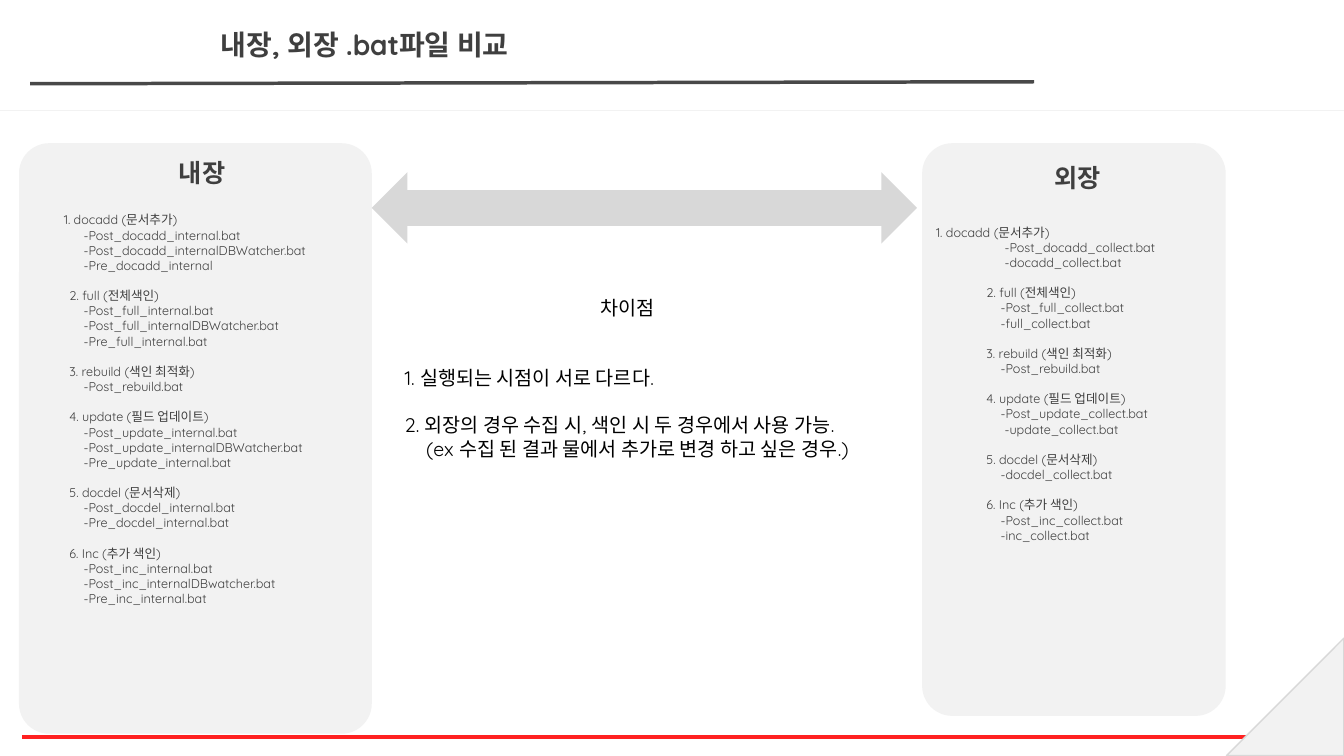
from dataclasses import dataclass

from lxml import etree
from pptx import Presentation
from pptx.dml.color import RGBColor
from pptx.enum.shapes import MSO_CONNECTOR, MSO_SHAPE
from pptx.enum.text import MSO_ANCHOR, MSO_AUTO_SIZE, PP_ALIGN
from pptx.oxml.ns import qn
from pptx.util import Cm, Pt

STRAIGHT = MSO_CONNECTOR.STRAIGHT
ROUNDED = MSO_SHAPE.ROUNDED_RECTANGLE
DOUBLE_ARROW = MSO_SHAPE.LEFT_RIGHT_ARROW
RIGHT_TRIANGLE = MSO_SHAPE.RIGHT_TRIANGLE
TOP = MSO_ANCHOR.TOP
NO_FIT = MSO_AUTO_SIZE.NONE
LEFT, CENTER = PP_ALIGN.LEFT, PP_ALIGN.CENTER

FONT = "Quicksand"
DARK, BLACK, PALE, GREY = "3F3F3F", "000000", "F2F2F2", "D8D8D8"
GROUP_INDENT, FILE_INDENT, DEEP_INDENT = 1.27, 1.63, 1.73
GROUP_GAP = 10.8
CORNER_RADIUS = 0.76


@dataclass(frozen=True)
class Box:
    left: float
    top: float
    width: float
    height: float


@dataclass(frozen=True)
class Line:
    text: str
    indent: float = 0
    gap: float = 0


@dataclass(frozen=True)
class TextStyle:
    size: float
    color: str = DARK
    bold: bool = False
    align: PP_ALIGN = LEFT
    inset: float = 0.25


@dataclass(frozen=True)
class Rule:
    start: tuple[float, float]
    end: tuple[float, float]
    color: str
    width: float


@dataclass(frozen=True)
class Group:
    heading: str
    files: tuple[str, ...]
    indent: float = GROUP_INDENT
    deep: tuple[str, ...] = ()


@dataclass(frozen=True)
class Panel:
    heading: str
    frame: Box
    heading_box: Box
    list_box: Box
    groups: tuple[Group, ...]


TITLE_STYLE = TextStyle(20, bold=True)
HEADING_STYLE = TextStyle(18, bold=True, align=CENTER, inset=0.13)
LIST_STYLE = TextStyle(9)
NOTE_STYLE = TextStyle(14, BLACK)

RULES = (
    Rule((0.76, 2.11), (26.06, 2.06), "484848", 2.5),
    Rule((0.56, 18.57), (33.12, 18.57), "FF2121", 2.5),
    Rule((0, 2.79), (33.87, 2.79), PALE, 0.75),
)

INTERNAL = Panel(
    "내장", Box(0.48, 3.61, 8.89, 14.88), Box(4.04, 3.84, 2.11, 2.82),
    Box(0.23, 5.1, 8.66, 13.38),
    (
        Group("1. docadd (문서추가)",
              ("-Post_docadd_internal.bat", "-Post_docadd_internalDBWatcher.bat",
               "-Pre_docadd_internal"), indent=1.13),
        Group("2. full (전체색인)",
              ("-Post_full_internal.bat", "-Post_full_internalDBWatcher.bat",
               "-Pre_full_internal.bat")),
        Group("3. rebuild (색인 최적화)", ("-Post_rebuild.bat",)),
        Group("4. update (필드 업데이트)",
              ("-Post_update_internal.bat", "-Post_update_internalDBWatcher.bat",
               "-Pre_update_internal.bat")),
        Group("5. docdel (문서삭제)",
              ("-Post_docdel_internal.bat", "-Pre_docdel_internal.bat")),
        Group("6. Inc (추가 색인)",
              ("-Post_inc_internal.bat", "-Post_inc_internalDBwatcher.bat",
               "-Pre_inc_internal.bat")),
    ),
)

EXTERNAL = Panel(
    "외장", Box(23.24, 3.61, 7.65, 14.43), Box(26.11, 3.96, 2.11, 2.82),
    Box(23.34, 5.41, 7.42, 12.65),
    (
        Group("1. docadd (문서추가)", (), indent=0,
              deep=("-Post_docadd_collect.bat", "-docadd_collect.bat")),
        Group("2. full (전체색인)", ("-Post_full_collect.bat", "-full_collect.bat")),
        Group("3. rebuild (색인 최적화)", ("-Post_rebuild.bat",)),
        Group("4. update (필드 업데이트)", ("-Post_update_collect.bat",),
              deep=("-update_collect.bat",)),
        Group("5. docdel (문서삭제)", ("-docdel_collect.bat",)),
        Group("6. Inc (추가 색인)", ("-Post_inc_collect.bat", "-inc_collect.bat")),
    ),
)

DIFFERENCES = [
    Line("차이점", 5.08),
    Line("1. 실행되는 시점이 서로 다르다.", 0.15, 33.4),
    Line("2. 외장의 경우 수집 시, 색인 시 두 경우에서 사용 가능.", 0.15, 16.7),
    Line("(ex 수집 된 결과 물에서 추가로 변경 하고 싶은 경우.)", 0.69),
]


def rgb(color: str) -> RGBColor:
    return RGBColor.from_string(color)


def corners(box: Box) -> tuple[Cm, Cm, Cm, Cm]:
    return Cm(box.left), Cm(box.top), Cm(box.width), Cm(box.height)


def write(frame, lines: list[Line], style: TextStyle) -> None:
    frame.word_wrap = True
    frame.auto_size = NO_FIT
    frame.vertical_anchor = TOP
    frame.margin_left = frame.margin_right = Cm(0.25)
    frame.margin_top = frame.margin_bottom = Cm(style.inset)
    for index, line in enumerate(lines):
        paragraph = frame.add_paragraph() if index else frame.paragraphs[0]
        paragraph.alignment = style.align
        paragraph.space_before = Pt(line.gap)
        properties = paragraph._p.get_or_add_pPr()
        properties.set("marL", str(Cm(line.indent)))
        properties.set("indent", "0")
        run = paragraph.add_run()
        run.text = line.text
        run.font.name = FONT
        run.font.size = Pt(style.size)
        run.font.bold = style.bold
        run.font.color.rgb = rgb(style.color)


def add_text(slide, box: Box, lines: list[Line], style: TextStyle) -> None:
    write(slide.shapes.add_textbox(*corners(box)).text_frame, lines, style)


def add_rule(slide, rule: Rule) -> None:
    (x1, y1), (x2, y2) = rule.start, rule.end
    connector = slide.shapes.add_connector(STRAIGHT, Cm(x1), Cm(y1), Cm(x2), Cm(y2))
    connector.line.color.rgb = rgb(rule.color)
    connector.line.width = Pt(rule.width)
    etree.SubElement(connector._element.spPr, qn("a:effectLst"))


def add_filled(slide, kind: MSO_SHAPE, box: Box, fill: str):
    shape = slide.shapes.add_shape(kind, *corners(box))
    shape.shadow.inherit = False
    shape.fill.solid()
    shape.fill.fore_color.rgb = rgb(fill)
    shape.line.fill.background()
    return shape


def add_page_corner(slide) -> None:
    fold = add_filled(slide, RIGHT_TRIANGLE, Box(30.91, 16.08, 2.96, 2.96), PALE)
    fold._element.spPr.get_or_add_xfrm().set("flipH", "1")
    fold.line.color.rgb = rgb(GREY)
    fold.line.width = Pt(1)


def group_lines(groups: tuple[Group, ...]) -> list[Line]:
    lines = []
    for index, group in enumerate(groups):
        lines.append(Line(group.heading, group.indent, GROUP_GAP if index else 0))
        lines += [Line(name, FILE_INDENT) for name in group.files]
        lines += [Line(name, DEEP_INDENT) for name in group.deep]
    return lines


def add_panel(slide, panel: Panel) -> None:
    card = add_filled(slide, ROUNDED, panel.frame, PALE)
    card.adjustments[0] = CORNER_RADIUS / panel.frame.width
    add_text(slide, panel.heading_box, [Line(panel.heading)], HEADING_STYLE)
    add_text(slide, panel.list_box, group_lines(panel.groups), LIST_STYLE)


def main() -> None:
    deck = Presentation()
    deck.slide_width, deck.slide_height = Cm(33.87), Cm(19.05)
    slide = deck.slides.add_slide(deck.slide_layouts[5])
    title = slide.shapes.title
    title.left, title.top, title.width, title.height = corners(Box(5.31, 0.56, 16.64, 1.8))
    write(title.text_frame, [Line("내장, 외장 .bat파일 비교")],
          TextStyle(TITLE_STYLE.size, bold=True, inset=0.13))
    for rule in RULES:
        add_rule(slide, rule)
    add_page_corner(slide)
    for panel in (INTERNAL, EXTERNAL):
        add_panel(slide, panel)
    add_filled(slide, DOUBLE_ARROW, Box(9.37, 4.34, 13.74, 1.8), GREY)
    add_text(slide, Box(9.8, 7.21, 12.95, 7.19), DIFFERENCES, NOTE_STYLE)
    deck.save("out.pptx")


if __name__ == "__main__":
    main()
